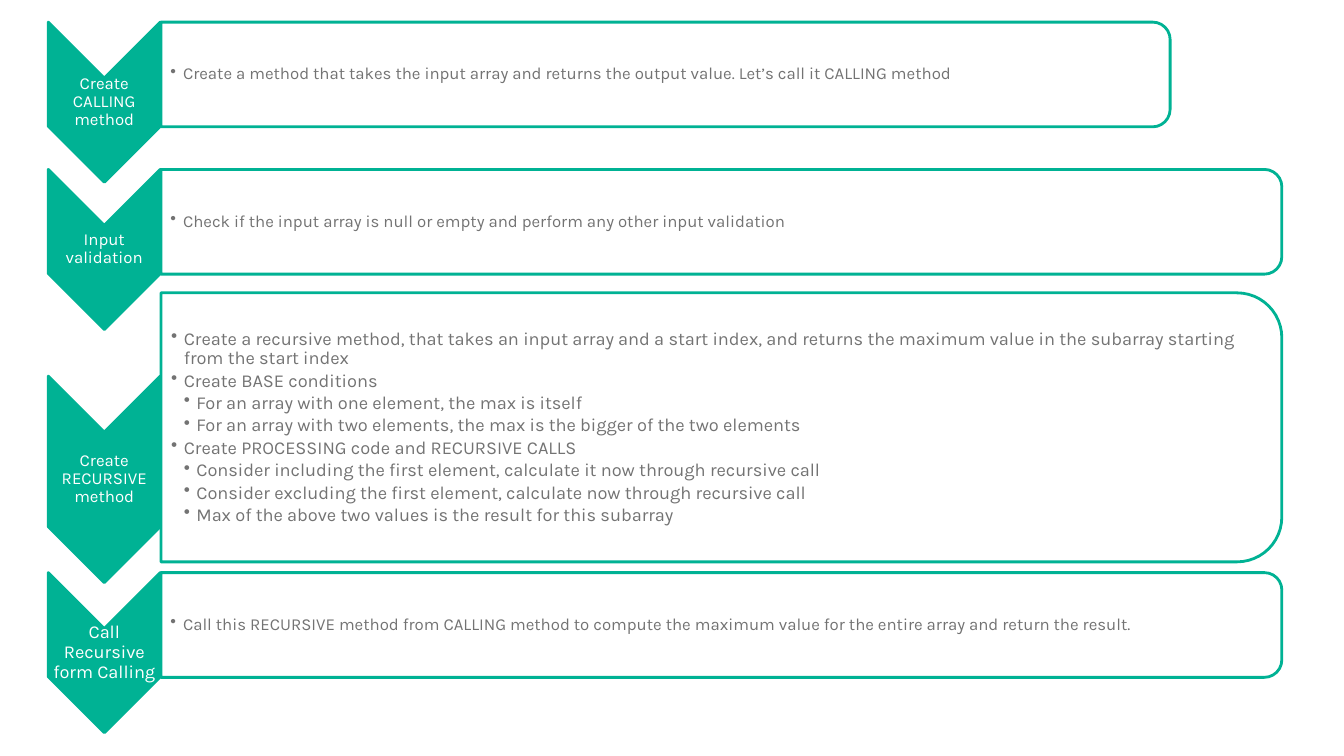
from pptx import Presentation
from pptx.dml.color import RGBColor
from pptx.enum.shapes import MSO_SHAPE as Preset
from pptx.enum.text import MSO_ANCHOR as Anchor, PP_ALIGN as Align
from pptx.oxml.ns import qn
from pptx.util import Pt
from lxml.etree import SubElement

GREEN, WHITE, GREY = "00B294", "FFFFFF", "737373"
LEFT, ARROW_WIDTH, BULLET_INDENT = 34.5, 80, 9
PANEL_LEFT = LEFT + ARROW_WIDTH + 0.5
CORNER_INSET = 0.0488  # text inset caused by the rounded corner, per panel height

# label, label size, arrow (top, height), panel (top, width, height), text size, bullets
STEPS = [
    ("Create CALLING method", 12, (15.8, 114.4), (15.8, 720.8, 74.8), 12, [
        (1, "Create a method that takes the input array and returns the output value. "
            "Let’s call it CALLING method")]),
    ("Input validation", 12, (121, 114.4), (121, 800.6, 74.8), 12, [
        (1, "Check if the input array is null or empty and perform any other "
            "input validation")]),
    ("Create RECURSIVE method", 12, (268.6, 147.6), (209.2, 800.6, 192.2), 13, [
        (1, "Create a recursive method, that takes an input array and a start index, and "
            "returns the maximum value in the subarray starting from the start index"),
        (1, "Create BASE conditions"),
        (2, "For an array with one element, the max is itself"),
        (2, "For an array with two elements, the max is the bigger of the two elements"),
        (1, "Create PROCESSING code and RECURSIVE CALLS"),
        (2, "Consider including the first element, calculate it now through recursive call"),
        (2, "Consider excluding the first element, calculate now through recursive call"),
        (2, "Max of the above two values is the result for this subarray")]),
    ("Call Recursive form Calling", 13, (409, 114.4), (409, 800.6, 74.8), 12, [
        (1, "Call this RECURSIVE method from CALLING method to compute the maximum value "
            "for the entire array and return the result.")]),
]


def color(code):
    return RGBColor.from_string(code)


def assign(target, values):
    for name, value in values.items():
        setattr(target, name, value)


def add_turned_shape(page, preset, box, fill):
    """Place a shape turned by 90 degrees so that it covers the given box."""
    left, top, width, height = box
    shift = (width - height) / 2
    shape = page.shapes.add_shape(preset, Pt(left + shift), Pt(top - shift),
                                  Pt(height), Pt(width))
    shape.rotation = 90
    shape.shadow.inherit = False
    shape.fill.solid()
    shape.fill.fore_color.rgb = color(fill)
    shape.line.color.rgb = color(GREEN)
    shape.line.width = Pt(2)
    return shape


def add_text_frame(page, box, left_margin):
    frame = page.shapes.add_textbox(*map(Pt, box)).text_frame
    assign(frame, dict(word_wrap=True, vertical_anchor=Anchor.MIDDLE,
                       margin_left=Pt(left_margin), margin_top=Pt(0.7),
                       margin_right=Pt(0.7), margin_bottom=Pt(0.7)))
    return frame


def write(para, text, size, ink, after):
    assign(para, dict(line_spacing=0.9, space_before=Pt(0), space_after=Pt(size * after)))
    span = para.add_run()
    span.text = text
    assign(span.font, dict(name="Karla", size=Pt(size)))
    span.font.color.rgb = color(ink)


def add_arrow(page, box, label, size):
    left, top, width, height = box
    add_turned_shape(page, Preset.CHEVRON, box, GREEN)
    # The label fills the part between notch and tip
    frame = add_text_frame(page, (left, top + width / 2, width, height - width), 0.7)
    para = frame.paragraphs[0]
    para.alignment = Align.CENTER
    write(para, label, size, WHITE, 0.35)


def add_panel(page, box, bullets, size):
    left, top, width, height = box
    panel = add_turned_shape(page, Preset.ROUND_2_SAME_RECTANGLE, box, WHITE)
    tint = panel.fill._xPr.find(qn("a:solidFill"))[0]
    SubElement(tint, qn("a:alpha"), val="90000")

    # Bulleted text clear of the rounded corners
    inset = height * CORNER_INSET
    frame = add_text_frame(page, (left, top + inset, width - inset, height - 2 * inset),
                           size * 0.56)
    for index, (level, text) in enumerate(bullets):
        para = frame.add_paragraph() if index else frame.paragraphs[0]
        para.level = level
        properties = para._p.get_or_add_pPr()
        properties.set("marL", str(Pt(BULLET_INDENT * level)))
        properties.set("indent", str(-Pt(BULLET_INDENT)))
        SubElement(properties, qn("a:buChar"), char="•")
        write(para, text, size, GREY, 0.15)


def main():
    deck = Presentation()
    assign(deck, dict(slide_width=Pt(960), slide_height=Pt(540)))
    page = deck.slides.add_slide(deck.slide_layouts[6])
    for label, label_size, arrow, panel, text_size, bullets in STEPS:
        arrow_top, arrow_height = arrow
        add_arrow(page, (LEFT, arrow_top, ARROW_WIDTH, arrow_height), label, label_size)
        panel_top, panel_width, panel_height = panel
        add_panel(page, (PANEL_LEFT, panel_top, panel_width, panel_height),
                  bullets, text_size)
    deck.save("out.pptx")


if __name__ == "__main__":
    main()
